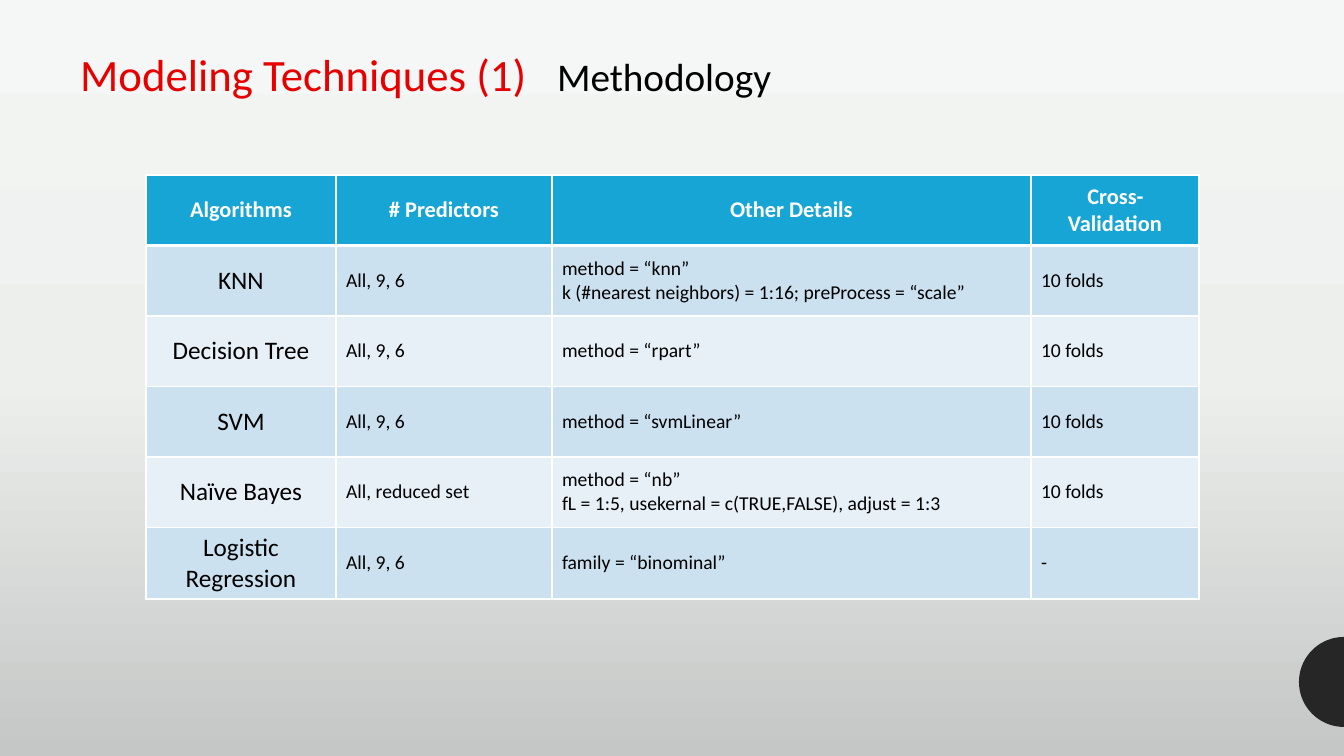
from copy import deepcopy
from dataclasses import dataclass
from math import cos, pi, sin

from lxml.etree import SubElement
from pptx import Presentation
from pptx.dml.color import RGBColor
from pptx.enum.text import MSO_ANCHOR, MSO_AUTO_SIZE, PP_ALIGN
from pptx.oxml.ns import qn
from pptx.slide import Slide
from pptx.table import _Cell
from pptx.text.text import _Paragraph
from pptx.util import Emu, Pt

EMU_PER_PX = 914400 / 100.8
FONT = "Calibri"
COLORS = {
    "title": "E60000",
    "text": "000000",
    "white": "FFFFFF",
    "header": "17A5D5",
    "band_dark": "CCE1EF",
    "band_light": "E8F0F7",
    "half_disc": "262626",
}
BACKGROUND_STOPS = [(0, "F4F7F5"), (0.5, "EDEFED"), (1, "C4C7C5")]


@dataclass(frozen=True)
class TextStyle:
    size: int
    color: str
    align: PP_ALIGN
    bold: bool = False


@dataclass(frozen=True)
class Model:
    algorithm: str
    predictors: str
    details: str
    validation: str


HEADER_STYLE = TextStyle(16, "white", PP_ALIGN.CENTER, True)
ALGORITHM_STYLE = TextStyle(18, "text", PP_ALIGN.CENTER)
DETAIL_STYLE = TextStyle(14, "text", PP_ALIGN.LEFT)

HEADINGS = Model("Algorithms", "# Predictors", "Other Details", "Cross-Validation")
MODELS = [
    Model("KNN", "All, 9, 6",
          "method = “knn”\vk (#nearest neighbors) = 1:16; preProcess = “scale”", "10 folds"),
    Model("Decision Tree", "All, 9, 6", "method = “rpart”", "10 folds"),
    Model("SVM", "All, 9, 6", "method = “svmLinear”", "10 folds"),
    Model("Naïve Bayes", "All, reduced set",
          "method = “nb”\nfL = 1:5, usekernal = c(TRUE,FALSE), adjust = 1:3", "10 folds"),
    Model("Logistic Regression", "All, 9, 6", "family = “binominal”", "-"),
]
COLUMN_WIDTHS = [190, 216, 479, 168]


def px(length: float) -> Emu:
    return Emu(round(length * EMU_PER_PX))


def rgb(name: str) -> RGBColor:
    return RGBColor.from_string(COLORS[name])


def paint_background(slide: Slide) -> None:
    fill = slide.background.fill
    fill.gradient()
    fill.gradient_angle = 270
    stop_list = slide.element.find(".//" + qn("a:gsLst"))
    stop_list.append(deepcopy(stop_list[0]))
    for stop, (position, color) in zip(fill.gradient_stops, BACKGROUND_STOPS):
        stop.position = position
        stop.color.rgb = RGBColor.from_string(color)


def draw_half_disc(slide: Slide, center_x: int, center_y: int, radius: int) -> None:
    segments = 36
    angles = [pi / 2 + pi * step / segments for step in range(segments + 1)]
    points = [(px(center_x + radius * cos(a)), px(center_y - radius * sin(a))) for a in angles]
    outline = slide.shapes.build_freeform(*points[0])
    outline.add_line_segments(points[1:], close=True)
    half_disc = outline.convert_to_shape()
    half_disc.shadow.inherit = False
    half_disc.fill.solid()
    half_disc.fill.fore_color.rgb = rgb("half_disc")
    half_disc.line.fill.background()


def add_tab_stop(paragraph: _Paragraph, position: int) -> None:
    tabs = SubElement(paragraph._p.get_or_add_pPr(), qn("a:tabLst"))
    SubElement(tabs, qn("a:tab"), pos=str(px(position)), algn="l")


def write_title(slide: Slide) -> None:
    title = slide.shapes.title
    title.left, title.top, title.width, title.height = px(70), px(41), px(1083), px(65)
    frame = title.text_frame
    frame.auto_size = MSO_AUTO_SIZE.NONE
    frame.vertical_anchor = MSO_ANCHOR.MIDDLE
    heading = frame.paragraphs[0]
    heading.alignment = PP_ALIGN.LEFT
    add_tab_stop(heading, 477)
    heading.font.name = FONT
    for text, size, color in [("Modeling Techniques (1)\t", 32, "title"),
                              ("Methodology", 28, "text")]:
        part = heading.add_run()
        part.text = text
        part.font.size = Pt(size)
        part.font.color.rgb = rgb(color)


def add_border(cell: _Cell, side: str, width: int) -> None:
    line = SubElement(cell._tc.get_or_add_tcPr(), qn(f"a:ln{side}"), w=str(Pt(width)))
    SubElement(SubElement(line, qn("a:solidFill")), qn("a:srgbClr"), val=COLORS["white"])


def fill_cell(cell: _Cell, text: str, style: TextStyle, fill: str, widths: dict[str, int]) -> None:
    for side, width in widths.items():
        add_border(cell, side, width)
    cell.fill.solid()
    cell.fill.fore_color.rgb = rgb(fill)
    cell.vertical_anchor = MSO_ANCHOR.MIDDLE
    cell.text = text
    for paragraph in cell.text_frame.paragraphs:
        paragraph.alignment = style.align
        paragraph.font.name = FONT
        paragraph.font.size = Pt(style.size)
        paragraph.font.bold = style.bold
        paragraph.font.color.rgb = rgb(style.color)


def draw_model_table(slide: Slide) -> None:
    rows = [HEADINGS, *MODELS]
    table = slide.shapes.add_table(len(rows), len(COLUMN_WIDTHS), px(146), px(175),
                                   px(sum(COLUMN_WIDTHS)), px(423)).table
    for column, width in zip(table.columns, COLUMN_WIDTHS):
        column.width = px(width)
    for r, model in enumerate(rows):
        # The rule under the header is thicker than the others
        widths = {"L": 1, "R": 1, "T": 3 if r == 1 else 1, "B": 3 if r == 0 else 1}
        fill = "header" if r == 0 else "band_dark" if r % 2 else "band_light"
        texts = [model.algorithm, model.predictors, model.details, model.validation]
        for c, text in enumerate(texts):
            style = HEADER_STYLE if r == 0 else ALGORITHM_STYLE if c == 0 else DETAIL_STYLE
            fill_cell(table.cell(r, c), text, style, fill, widths)


def main() -> None:
    presentation = Presentation()
    presentation.slide_width, presentation.slide_height = px(1344), px(756)
    slide = presentation.slides.add_slide(presentation.slide_layouts[5])

    # Backdrop
    paint_background(slide)
    draw_half_disc(slide, 1344, 682, 45)

    # Content
    write_title(slide)
    draw_model_table(slide)
    presentation.save("out.pptx")


if __name__ == "__main__":
    main()
